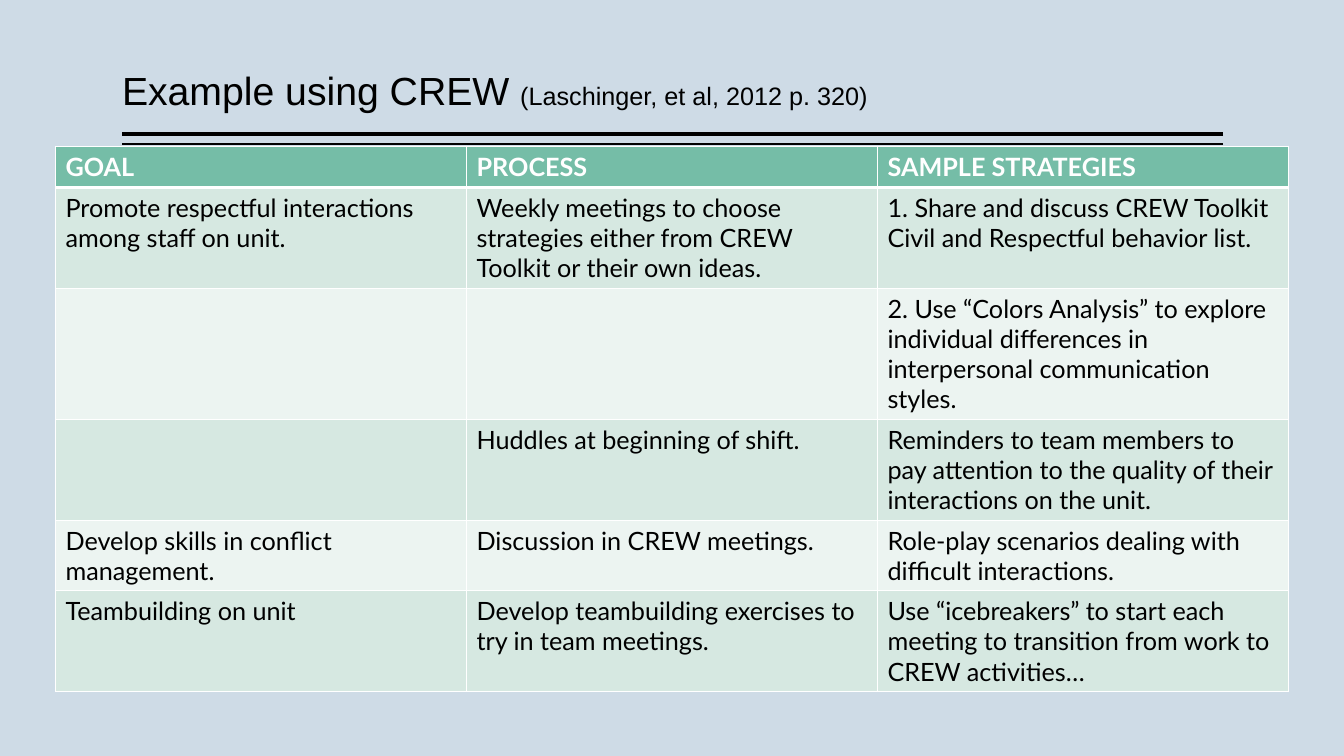
from dataclasses import dataclass
from typing import Any

from lxml.etree import SubElement
from pptx import Presentation
from pptx.dml.color import RGBColor
from pptx.enum.text import MSO_ANCHOR, MSO_AUTO_SIZE, PP_ALIGN
from pptx.oxml.ns import qn
from pptx.util import Inches, Length, Pt

SLIDE_WIDTH, SLIDE_HEIGHT = Inches(13.33), Inches(7.5)
BACKDROP = RGBColor(0xCE, 0xDB, 0xE6)
BLACK = RGBColor(0, 0, 0)
WHITE = RGBColor(0xFF, 0xFF, 0xFF)
HEADER_GREEN = RGBColor(0x75, 0xBD, 0xA7)
BANDS = (RGBColor(0xD6, 0xE8, 0xE1), RGBColor(0xEC, 0xF4, 0xF1))

TITLE_LEFT, TITLE_WIDTH = 9.08, 81.92
TABLE_LEFT, TABLE_TOP, TABLE_WIDTH, ROW_HEIGHT = 4.13, 19.33, 91.75, 5.47


@dataclass(frozen=True)
class Rule:
    height: float
    weight: float


@dataclass(frozen=True)
class Phrase:
    text: str
    size: float


@dataclass(frozen=True)
class Plan:
    goal: str
    process: str
    strategy: str


RULES = (Rule(17.73, 3), Rule(19.07, 1))
HEADING = (Phrase("Example using CREW ", 28), Phrase("(Laschinger, et al, 2012 p. 320)", 18))
PLANS = (
    Plan("GOAL", "PROCESS", "SAMPLE STRATEGIES"),
    Plan("Promote respectful interactions among staff on unit.",
         "Weekly meetings to choose strategies either from CREW Toolkit or their own ideas.",
         "1. Share and discuss CREW Toolkit Civil and Respectful behavior list."),
    Plan("", "",
         "2. Use “Colors Analysis” to explore individual differences in interpersonal "
         "communication styles."),
    Plan("", "Huddles at beginning of shift.",
         "Reminders to team members to pay attention to the quality of their interactions "
         "on the unit."),
    Plan("Develop skills in conflict management.", "Discussion in CREW meetings.",
         "Role-play scenarios dealing with difficult interactions."),
    Plan("Teambuilding on unit", "Develop teambuilding exercises to try in team meetings.",
         "Use “icebreakers” to start each meeting to transition from work to CREW activities…"),
)


def across(percent: float) -> Length:
    return Length(round(SLIDE_WIDTH * percent / 100))


def down(percent: float) -> Length:
    return Length(round(SLIDE_HEIGHT * percent / 100))


def apply(target: Any, values: dict[str, Any]) -> None:
    for name, value in values.items():
        setattr(target, name, value)


def style_font(font: Any, family: str, size: float, color: RGBColor, bold: bool = False) -> None:
    apply(font, {"name": family, "size": Pt(size), "bold": bold})
    font.color.rgb = color


def draw_rule(slide: Any, rule: Rule) -> None:
    level = down(rule.height)
    line = slide.shapes.add_connector(
        1, across(TITLE_LEFT + TITLE_WIDTH), level, across(TITLE_LEFT), level)
    line.line.color.rgb = BLACK
    line.line.width = Pt(rule.weight)
    SubElement(line._element.spPr, qn("a:effectLst"))


def write_heading(slide: Any) -> None:
    heading = slide.shapes.title
    apply(heading, {"left": across(TITLE_LEFT), "top": down(2.4),
                    "width": across(TITLE_WIDTH), "height": down(13.33)})
    apply(heading.text_frame, {
        "margin_left": 0, "margin_right": 0, "margin_top": Inches(0.05),
        "margin_bottom": Inches(0.05), "vertical_anchor": MSO_ANCHOR.BOTTOM,
        "word_wrap": True, "auto_size": MSO_AUTO_SIZE.NONE})
    paragraph = heading.text_frame.paragraphs[0]
    apply(paragraph, {"alignment": PP_ALIGN.LEFT, "line_spacing": 0.9})
    for phrase in HEADING:
        run = paragraph.add_run()
        run.text = phrase.text
        style_font(run.font, "Arial", phrase.size, BLACK)


def border_cell(cell: Any, weights: dict[str, float]) -> None:
    properties = cell._tc.get_or_add_tcPr()
    for side, weight in weights.items():
        edge = SubElement(properties, qn(f"a:ln{side}"), w=str(Pt(weight)))
        paint = SubElement(edge, qn("a:solidFill"))
        SubElement(paint, qn("a:srgbClr"), val=str(WHITE))


def fill_cell(cell: Any, text: str, row: int) -> None:
    header = row == 0
    border_cell(cell, {"L": 1, "R": 1, "T": 3 if row == 1 else 1, "B": 3 if header else 1})
    cell.fill.solid()
    cell.fill.fore_color.rgb = HEADER_GREEN if header else BANDS[(row - 1) % 2]
    paragraph = cell.text_frame.paragraphs[0]
    if text:
        run = paragraph.add_run()
        run.text = text
        style_font(run.font, "Lato", 18, WHITE if header else BLACK, header)


def draw_plans(slide: Any) -> None:
    table = slide.shapes.add_table(
        len(PLANS), 3, across(TABLE_LEFT), down(TABLE_TOP),
        across(TABLE_WIDTH), down(ROW_HEIGHT * len(PLANS))).table
    for row, plan in enumerate(PLANS):
        for column, text in enumerate((plan.goal, plan.process, plan.strategy)):
            fill_cell(table.cell(row, column), text, row)


def main() -> None:
    deck = Presentation()
    apply(deck, {"slide_width": SLIDE_WIDTH, "slide_height": SLIDE_HEIGHT})
    slide = deck.slides.add_slide(deck.slide_layouts[5])
    slide.background.fill.solid()
    slide.background.fill.fore_color.rgb = BACKDROP
    for rule in RULES:
        draw_rule(slide, rule)
    write_heading(slide)
    draw_plans(slide)
    deck.save("out.pptx")


if __name__ == "__main__":
    main()
